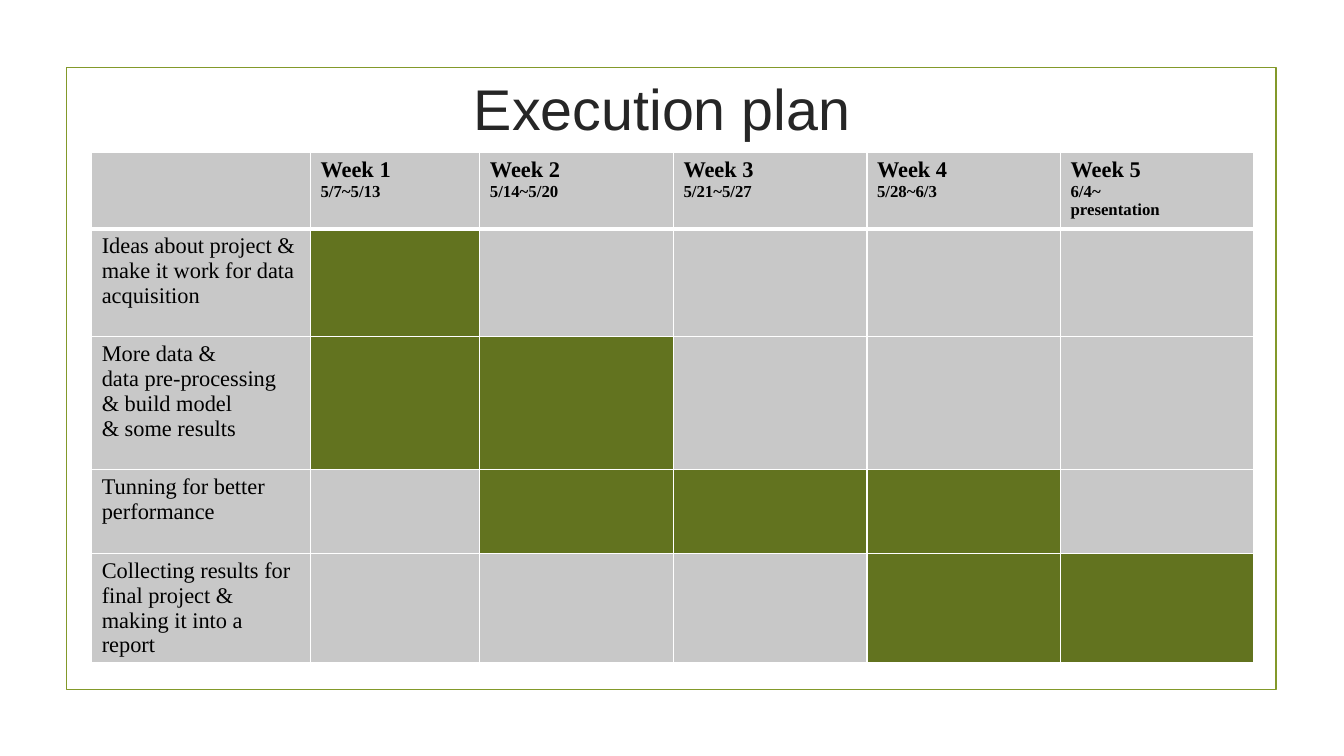
from lxml.etree import SubElement
from pptx import Presentation
from pptx.dml.color import RGBColor
from pptx.enum.shapes import MSO_SHAPE
from pptx.enum.text import MSO_ANCHOR, PP_ALIGN
from pptx.oxml.ns import qn
from pptx.util import Inches, Pt

TITLE = "Execution plan"
WEEKS = [
    ["Week 1", "5/7~5/13"],
    ["Week 2", "5/14~5/20"],
    ["Week 3", "5/21~5/27"],
    ["Week 4", "5/28~6/3"],
    ["Week 5", "6/4~", "presentation"],
]
# Task lines, then the weeks in which the task is active
TASKS = [
    (["Ideas about project & make it work for data acquisition"], {1}),
    (["More data &", "data pre-processing", "& build model", "& some results"], {1, 2}),
    (["Tunning for better performance"], {2, 3, 4}),
    (["Collecting results for final project & making it into a report"], {4, 5}),
]
COLUMN_WIDTHS = [2.17, 1.68] + [1.92] * 4
ROW_HEIGHTS = [0.76, 1.07, 1.32, 0.83, 1.07]

FRAME_GREEN = RGBColor(0x83, 0x99, 0x2A)
ACTIVE_GREEN = RGBColor(0x62, 0x73, 0x1F)
CELL_GRAY = RGBColor(0xC8, 0xC8, 0xC8)
TITLE_GRAY = RGBColor(0x26, 0x26, 0x26)
BLACK = RGBColor(0, 0, 0)
WHITE = RGBColor(0xFF, 0xFF, 0xFF)


def format_font(font, color, **values):
    for name, value in values.items():
        setattr(font, name, value)
    font.color.rgb = color


def write_cell(cell, lines, sizes, bold):
    """Write one paragraph per line, each with its size in points."""
    frame = cell.text_frame
    frame.text = "\n".join(lines)
    for para, size in zip(frame.paragraphs, sizes):
        format_font(para.runs[0].font, BLACK, name="Times New Roman", size=Pt(size), bold=bold)


def style_cell(cell, color, top, bottom):
    """Fill the cell and give it white borders; top and bottom are in points."""
    properties = cell._tc.get_or_add_tcPr()
    for side, width in (("L", 1), ("R", 1), ("T", top), ("B", bottom)):
        line = SubElement(properties, qn(f"a:ln{side}"), w=str(Pt(width)))
        fill = SubElement(line, qn("a:solidFill"))
        SubElement(fill, qn("a:srgbClr"), val=str(WHITE))
    cell.fill.solid()
    cell.fill.fore_color.rgb = color


def add_frame(page):
    frame = page.shapes.add_shape(
        MSO_SHAPE.RECTANGLE, Inches(0.66), Inches(0.67), Inches(12), Inches(6.17))
    frame.shadow.inherit = False
    frame.fill.background()
    frame.line.color.rgb = FRAME_GREEN
    frame.line.width = Pt(1.25)


def add_title(page):
    title = page.shapes.title
    places = {"left": 0.82, "top": 0.17, "width": 11.5, "height": 1.8}
    for name, value in places.items():
        setattr(title, name, Inches(value))
    title.text_frame.text = TITLE
    title.text_frame.vertical_anchor = MSO_ANCHOR.MIDDLE
    para = title.text_frame.paragraphs[0]
    para.alignment = PP_ALIGN.CENTER
    format_font(para.runs[0].font, TITLE_GRAY, name="Arial", size=Pt(41))


def add_schedule(page):
    table = page.shapes.add_table(
        len(ROW_HEIGHTS), len(COLUMN_WIDTHS), Inches(0.91), Inches(1.51),
        Inches(sum(COLUMN_WIDTHS)), Inches(sum(ROW_HEIGHTS))).table
    for column, width in zip(table.columns, COLUMN_WIDTHS):
        column.width = Inches(width)
    for row, height in zip(table.rows, ROW_HEIGHTS):
        row.height = Inches(height)

    active = [set()] + [weeks for _, weeks in TASKS]
    for row, weeks in enumerate(active):
        for week in range(len(COLUMN_WIDTHS)):
            color = ACTIVE_GREEN if week in weeks else CELL_GRAY
            style_cell(table.cell(row, week), color,
                       top=3 if row == 1 else 1, bottom=3 if row == 0 else 1)

    for week, lines in enumerate(WEEKS, 1):
        write_cell(table.cell(0, week), lines, [16, 12, 12], True)
    for row, (lines, _) in enumerate(TASKS, 1):
        write_cell(table.cell(row, 0), lines, [16] * len(lines), False)


def main():
    deck = Presentation()
    deck.slide_width, deck.slide_height = Inches(13.33), Inches(7.5)
    page = deck.slides.add_slide(deck.slide_layouts[5])
    add_frame(page)
    add_title(page)
    add_schedule(page)
    deck.save("out.pptx")


if __name__ == "__main__":
    main()
